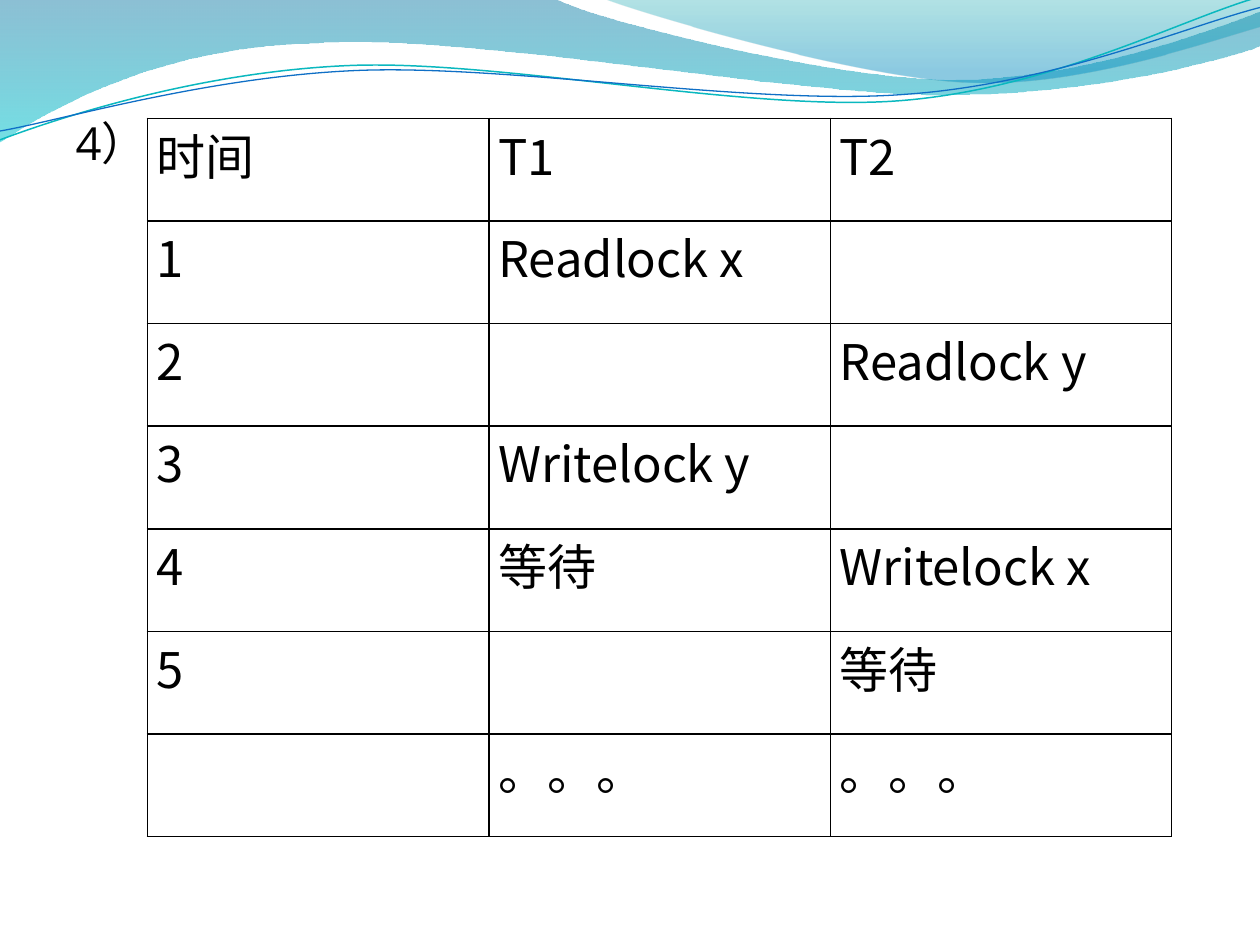
from math import cos, radians, sin
from lxml.etree import SubElement
from pptx import Presentation
from pptx.dml.color import RGBColor as Rgb
from pptx.enum.text import MSO_ANCHOR as Anchor, MSO_AUTO_SIZE as Fit, PP_ALIGN as Align
from pptx.oxml import parse_xml
from pptx.oxml.ns import nsdecls, qn
from pptx.util import Inches, Pt

HUES = {"ink": "000000", "blue": "0074A1", "aqua": "00C6CF", "teal": "00A1A9",
        "sky": "008BBF", "jade": "0AB8BF", "royal": "0F6FC6"}
SANS, CJK, SERIF = "Open Sans", "Noto Sans CJK SC", "Times New Roman"
COLS, ROWS = 10, 7.5
TILT = 357.3


def turn(dots, hub, angle):
    c, s = cos(radians(angle)), sin(radians(angle))
    return [(hub[0] + (x - hub[0]) * c - (y - hub[1]) * s,
             hub[1] + (x - hub[0]) * s + (y - hub[1]) * c) for x, y in dots]


class Deck:
    def __init__(self):
        self.prs = Presentation()
        self.prs.slide_width, self.prs.slide_height = Inches(10), Inches(7.5)
        self.slide = self.prs.slides.add_slide(self.prs.slide_layouts[1])
        title = self.slide.shapes.title
        title.element.getparent().remove(title.element)

    def across(self, n):
        return round(self.prs.slide_width * n / COLS)

    def down(self, n):
        return round(self.prs.slide_height * n / ROWS)

    def outline(self, parts, close):
        spots = [(self.across(x), self.down(y)) for part in parts for x, y in part]
        pen = self.slide.shapes.build_freeform(*spots[0])
        pen.add_line_segments(spots[1:], close=close)
        shape = pen.convert_to_shape()
        shape.shadow.inherit = False
        lines = iter(list(shape.element.iter(qn("a:lnTo"))))
        for part in parts[1:]:
            steps = [next(lines) for _ in part]
            if len(part) == 3:
                bend = parse_xml(f'<a:cubicBezTo {nsdecls("a")}/>')
                steps[0].addprevious(bend)
                for step in steps:
                    bend.append(step[0])
                    step.getparent().remove(step)
        return shape

    def wave(self, parts, stops):
        shape = self.outline(parts, True)
        shape.line.fill.background()
        marks = "".join(
            f'<a:gs pos="{pos * 1000}"><a:srgbClr val="{HUES[hue]}">'
            f'<a:alpha val="{alpha * 1000}"/></a:srgbClr></a:gs>' for pos, hue, alpha in stops)
        grad = parse_xml(f'<a:gradFill {nsdecls("a")}><a:gsLst>{marks}</a:gsLst>'
                         '<a:lin ang="5400000" scaled="0"/></a:gradFill>')
        shape.element.spPr.find(qn("a:custGeom")).addnext(grad)

    def curve(self, parts, hub, hue, width):
        shape = self.outline([turn(part, hub, 360 - TILT) for part in parts], False)
        shape.rotation = TILT
        shape.fill.background()
        shape.line.color.rgb = Rgb.from_string(HUES[hue])
        shape.line.width = Pt(width)

    def style(self, para, face, asian, size):
        font = para.font
        font.name, font.size = face, Pt(size)
        font.color.rgb = Rgb.from_string(HUES["ink"])
        for run in para.runs:
            run.font.name = face
            SubElement(run._r.get_or_add_rPr(), qn("a:ea")).set("typeface", asian)

    def body(self, text, x, y, w, h):
        box = self.slide.placeholders[1]
        box.left, box.top = self.across(x), self.down(y)
        box.width, box.height = self.across(w), self.down(h)
        frame = box.text_frame
        frame.text = text
        frame.auto_size = Fit.NONE
        frame.vertical_anchor = Anchor.TOP
        para = frame.paragraphs[0]
        props = para._p.get_or_add_pPr()
        props.set("marL", "0")
        props.set("indent", "0")
        SubElement(props, qn("a:buNone"))
        self.style(para, SANS, SANS, 26)
        self.slide.shapes._spTree.append(box.element)

    def border(self, cell):
        props = cell._tc.get_or_add_tcPr()
        for side in ("lnL", "lnR", "lnT", "lnB"):
            props.append(parse_xml(
                f'<a:{side} {nsdecls("a")} w="12700"><a:solidFill>'
                f'<a:srgbClr val="{HUES["ink"]}"/></a:solidFill></a:{side}>'))

    def table(self, rows, x, y, w, h):
        grid = self.slide.shapes.add_table(
            len(rows), len(rows[0]), self.across(x), self.down(y),
            self.across(w), self.down(h)).table
        grid.first_row = grid.horz_banding = False
        for r, row in enumerate(rows):
            for c, text in enumerate(row):
                cell = grid.cell(r, c)
                cell.margin_left = cell.margin_right = Pt(5.4)
                cell.margin_top = cell.margin_bottom = 0
                self.border(cell)
                cell.fill.background()
                if text:
                    cell.text = text
                    para = cell.text_frame.paragraphs[0]
                    para.alignment = Align.JUSTIFY
                    self.style(para, CJK if text.isascii() else SERIF, CJK, 28)


deck = Deck()
deck.wave([
    [(0, 0)],
    [(4.4, -0.01)],
    [(4.76, 0.17), (6.64, 0.63), (7.58, 0.63)],
    [(8.53, 0.63), (9.58, 0.26), (10, 0.09)],
    [(10.01, 0.36)],
    [(9.83, 0.44), (8.7, 0.76), (7.46, 0.75)],
    [(6.22, 0.75), (3.82, 0.28), (2.57, 0.34)],
    [(1.29, 0.36), (0.46, 0.83), (-0.01, 1.13)],
], [(0, "blue", 45), (100, "aqua", 55)])
deck.wave([
    [(4.79, -0.01)],
    [(5.09, 0.11), (6.82, 0.62), (7.69, 0.65)],
    [(8.56, 0.69), (9.61, 0.32), (10, 0.21)],
    [(10, 0)],
], [(0, "teal", 30), (80, "sky", 45)])
deck.curve([
    [(0, 1.11)],
    [(0.48, 0.93), (1.58, 0.57), (2.77, 0.52)],
    [(3.95, 0.47), (5.93, 0.89), (7.13, 0.8)],
    [(8.33, 0.71), (9.38, 0.15), (9.98, -0.02)],
], (4.99, 0.58), "jade", 0.85)
deck.curve([
    [(0, 1.04)],
    [(0.47, 0.96), (1.64, 0.61), (2.83, 0.56)],
    [(4.03, 0.51), (5.97, 0.84), (7.17, 0.75)],
    [(8.36, 0.67), (9.41, 0.21), (10, 0.06)],
], (5, 0.59), "royal", 0.75)
deck.body("4）", 0.5, 0.86, 9, 0.85)
deck.table([
    ("时间", "T1", "T2"),
    ("1", "Readlock x", ""),
    ("2", "", "Readlock y"),
    ("3", "Writelock y", ""),
    ("4", "等待", "Writelock x"),
    ("5", "", "等待"),
    ("", "。。。", "。。。"),
], 1.17, 0.94, 8.13, 5.7)
deck.prs.save("out.pptx")
